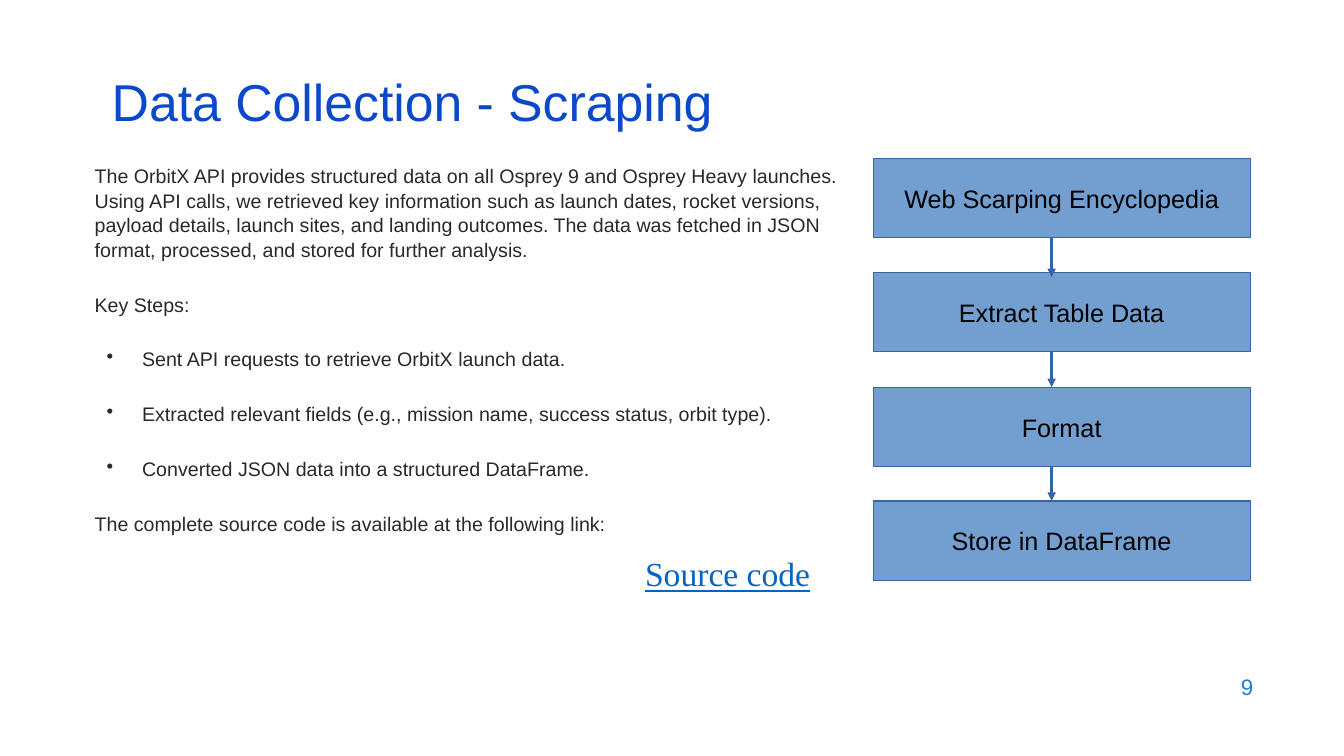
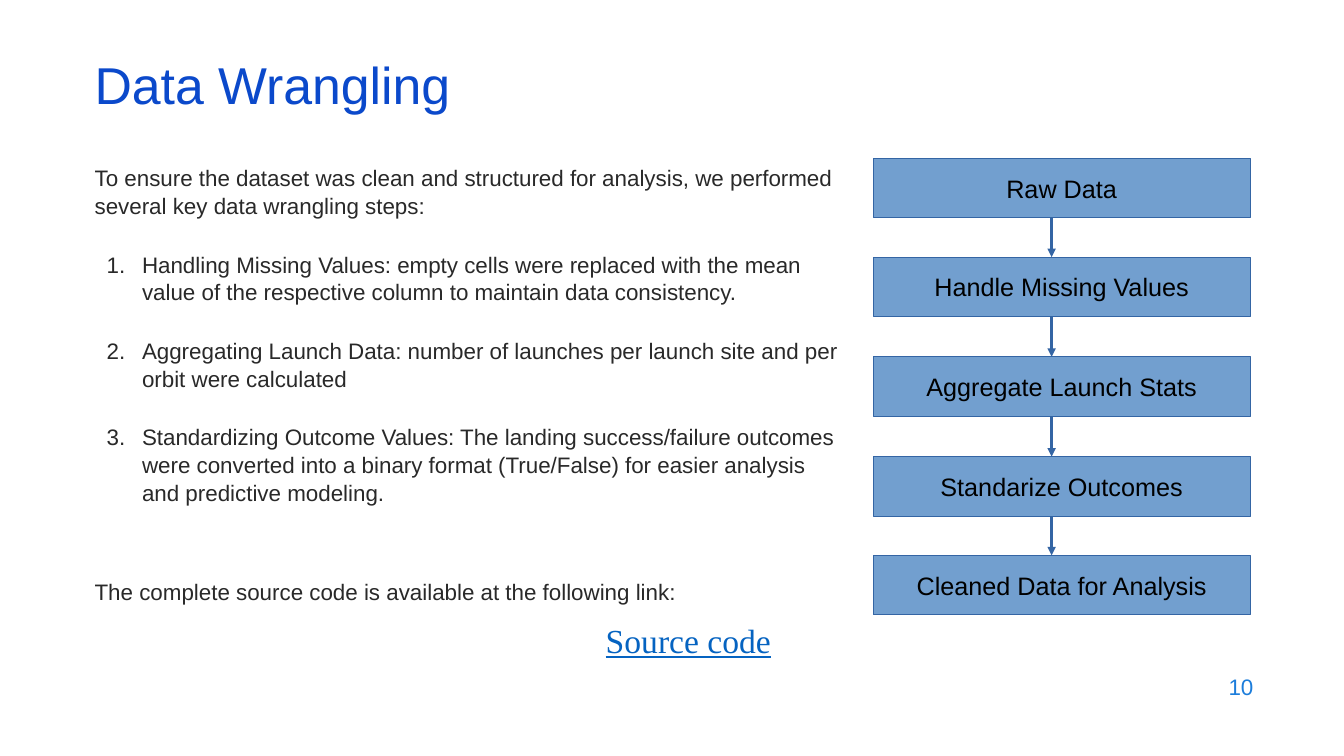
from dataclasses import dataclass

from lxml import etree
from pptx import Presentation
from pptx import util as u
from pptx.dml.color import RGBColor
from pptx.enum import shapes, text
from pptx.oxml import ns

PX = 9144  # EMU in one px, 100 px to the inch


@dataclass(frozen=True)
class Theme:
    sans: str = "Arial"
    serif: str = "Times New Roman"
    title: str = "0B49CB"
    body: str = "292929"
    link: str = "0563C1"
    number: str = "1C7DDB"
    step_text: str = "000000"
    step_fill: str = "729FCF"
    step_line: str = "3465A4"
    title_size: int = 37
    link_size: int = 24
    step_size: int = 18
    number_size: int = 16


theme = Theme()
FLOW_LEFT, FLOW_TOP, FLOW_WIDTH, ARROW_X = 866, 157, 374, 1043
BULLET = ("buChar", "char", "•")
NUMBERED = ("buAutoNum", "type", "arabicPeriod")
CLOSING = "The complete source code is available at the following link:"

slides = [
    {
        "title": "Data Collection - Scraping",
        "title_at": (101, 76),
        "body_size": 14,
        "intro": [
            "The OrbitX API provides structured data on all Osprey 9 and Osprey Heavy launches. "
            "Using API calls, we retrieved key information such as launch dates, rocket versions, "
            "payload details, launch sites, and landing outcomes. The data was fetched in JSON "
            "format, processed, and stored for further analysis.",
            "Key Steps:",
        ],
        "marker": BULLET,
        "items": [
            "Sent API requests to retrieve OrbitX launch data.",
            "Extracted relevant fields (e.g., mission name, success status, orbit type).",
            "Converted JSON data into a structured DataFrame.",
        ],
        "closing_gap": 11.9,
        "link_at": (630, 544, 197, 47),
        "steps": ["Web Scarping Encyclopedia", "Extract Table Data", "Format", "Store in DataFrame"],
        "step_height": 79,
        "last_step_top": 497,
        "first_arrow_overlap": 5,
        "number": "9",
    },
    {
        "title": "Data Wrangling",
        "title_at": (84, 59),
        "body_size": 16,
        "intro": [
            "To ensure the dataset was clean and structured for analysis, we performed "
            "several key data wrangling steps:",
        ],
        "marker": NUMBERED,
        "items": [
            "Handling Missing Values: empty cells were replaced with the mean value of the "
            "respective column to maintain data consistency.",
            "Aggregating Launch Data: number of launches per launch site and per orbit were calculated",
            "Standardizing Outcome Values: The landing success/failure outcomes were converted into "
            "a binary format (True/False) for easier analysis and predictive modeling.",
        ],
        "closing_gap": 41,
        "link_at": (591, 610, 216, 47),
        "steps": ["Raw Data", "Handle Missing Values", "Aggregate Launch Stats",
                  "Standarize Outcomes", "Cleaned Data for Analysis"],
        "step_height": 59,
        "last_step_top": 551,
        "first_arrow_overlap": 0,
        "number": "10",
    },
]


def style(para, size, color, font=theme.sans):
    for span in para.runs:
        span.font.name = font
        span.font.size = u.Pt(size)
        span.font.color.rgb = RGBColor.from_string(color)


def add_text(page, at, lines, anchor=text.MSO_ANCHOR.TOP):
    """Add a wrapping text box with one paragraph per line; return its paragraphs."""
    frame = page.shapes.add_textbox(*(n * PX for n in at)).text_frame
    frame.word_wrap = True
    frame.vertical_anchor = anchor
    frame.text = "\n".join(lines)
    return frame.paragraphs


deck = Presentation()
deck.slide_width, deck.slide_height = 1333 * PX, 750 * PX

for data in slides:
    page = deck.slides.add_slide(deck.slide_layouts[6])

    title = add_text(page, (*data["title_at"], 1150, 60), [data["title"]], text.MSO_ANCHOR.MIDDLE)[0]
    title.line_spacing = 0.8
    style(title, theme.title_size, theme.title)

    # Flow chart: equal steps between the first and the last top edge
    steps, height = data["steps"], data["step_height"]
    last = len(steps) - 1
    tops = [FLOW_TOP + round((data["last_step_top"] - FLOW_TOP) * i / last) for i in range(last + 1)]
    for label, top in zip(steps, tops):
        box = page.shapes.add_shape(shapes.MSO_SHAPE.RECTANGLE, FLOW_LEFT * PX, top * PX,
                                    FLOW_WIDTH * PX, height * PX)
        box.shadow.inherit = False
        box.fill.solid()
        box.fill.fore_color.rgb = RGBColor.from_string(theme.step_fill)
        box.line.color.rgb = RGBColor.from_string(theme.step_line)
        box.line.width = u.Pt(0)
        box.text_frame.text = label
        box.text_frame.vertical_anchor = text.MSO_ANCHOR.MIDDLE
        para = box.text_frame.paragraphs[0]
        para.alignment = text.PP_ALIGN.CENTER
        style(para, theme.step_size, theme.step_text)

    for i in range(last):
        end = tops[i + 1] + (data["first_arrow_overlap"] if i == 0 else 0)
        arrow = page.shapes.add_connector(shapes.MSO_CONNECTOR.STRAIGHT, ARROW_X * PX,
                                          (tops[i] + height) * PX, ARROW_X * PX, end * PX)
        arrow.line.color.rgb = RGBColor.from_string(theme.step_line)
        arrow.line.width = u.Pt(0)
        etree.SubElement(arrow.line._get_or_add_ln(), ns.qn("a:tailEnd"), type="triangle")
        etree.SubElement(arrow._element.spPr, ns.qn("a:effectLst"))

    link = add_text(page, data["link_at"], ["Source code"])[0]
    style(link, theme.link_size, theme.link, theme.serif)
    link.runs[0].font.underline = True

    # Body: introduction, marked list, closing line
    intro, items = data["intro"], data["items"]
    body = add_text(page, (84, 157, 762, 354), [*intro, *items, CLOSING])
    for i, para in enumerate(body):
        if len(intro) <= i < len(intro) + len(items):
            props = para._p.get_or_add_pPr()
            props.set("marL", str(47 * PX))
            props.set("indent", str(-35 * PX))
            color = etree.SubElement(props, ns.qn("a:buClr"))
            etree.SubElement(color, ns.qn("a:srgbClr"), val=theme.body)
            tag, key, value = data["marker"]
            etree.SubElement(props, ns.qn("a:" + tag), {key: value})
        para.line_spacing = 1.04
        para.space_before = u.Pt(11.9 if i else 0)
        para.space_after = u.Pt(9.9)
        style(para, data["body_size"], theme.body)
    body[-1].space_before = u.Pt(data["closing_gap"])

    number = add_text(page, (953, 659, 300, 44), [data["number"]], text.MSO_ANCHOR.MIDDLE)[0]
    number.alignment = text.PP_ALIGN.RIGHT
    style(number, theme.number_size, theme.number)

deck.save("out.pptx")
